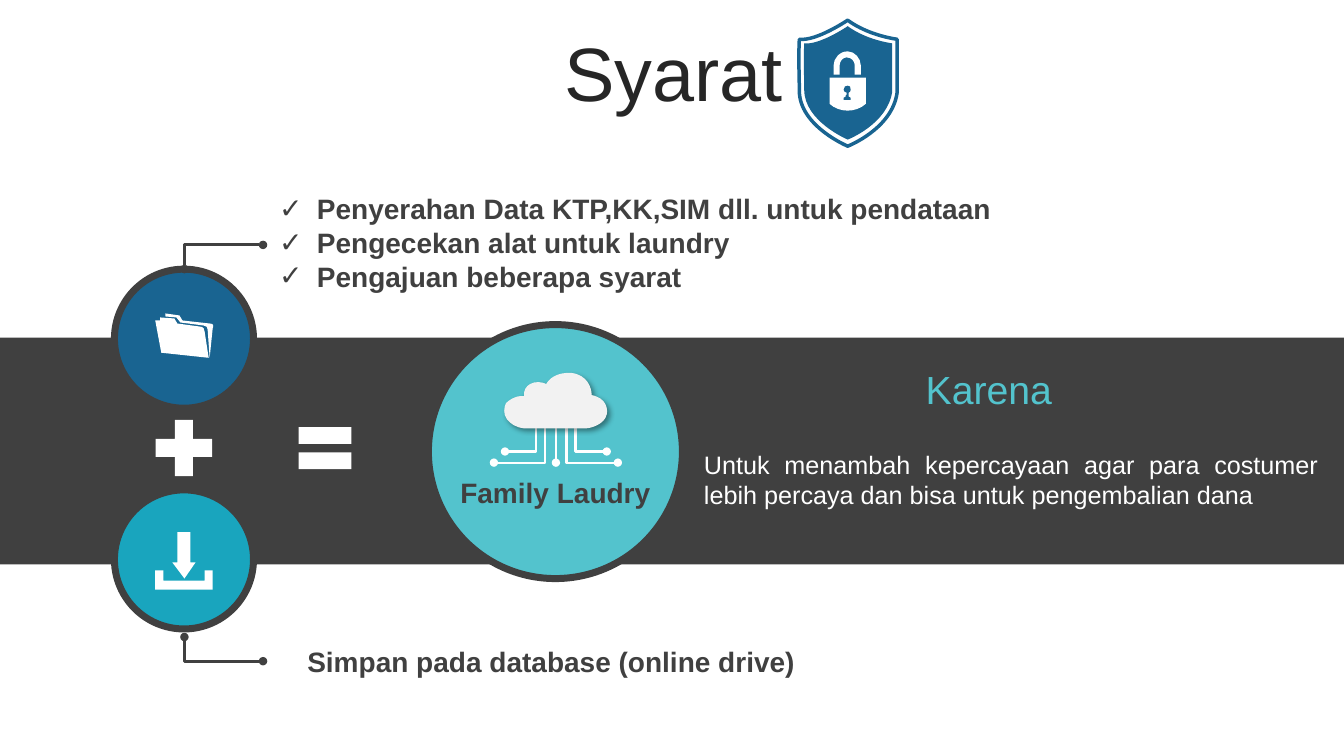
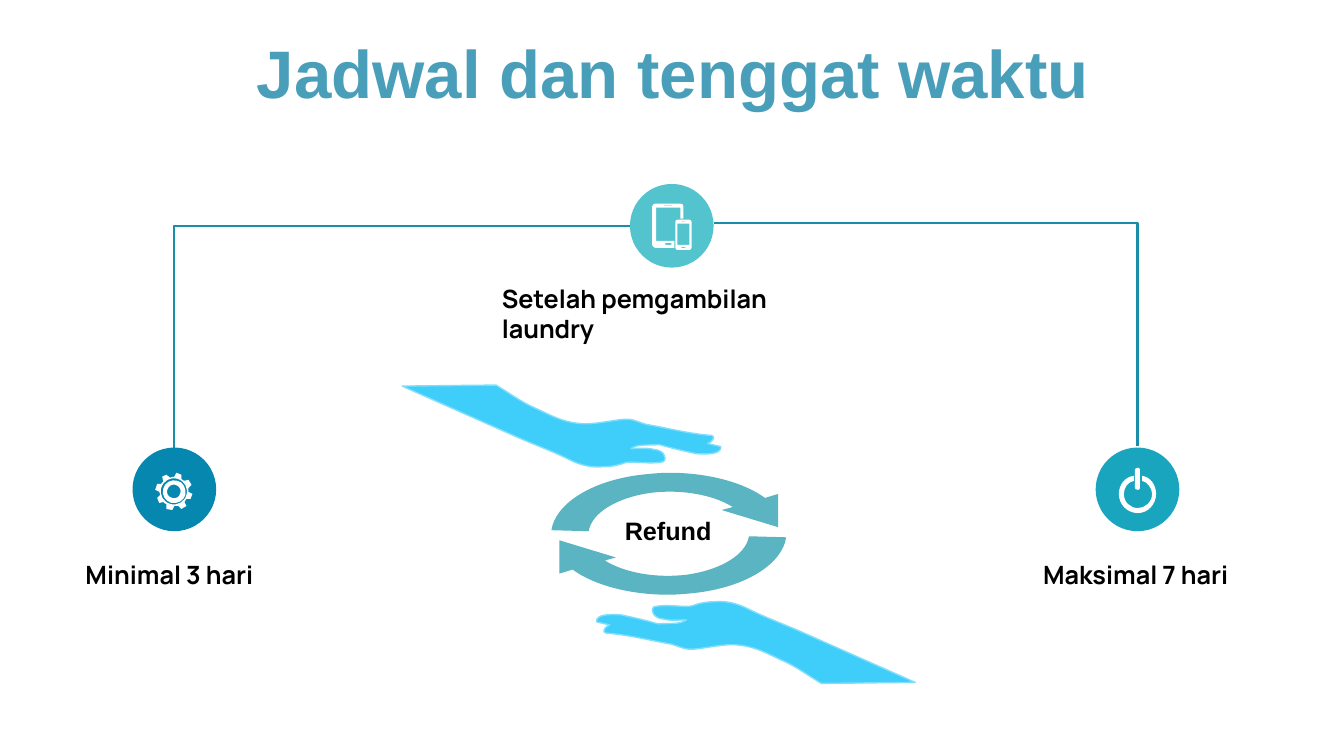
import pptx
import pptx.util
import pptx.dml.color
import pptx.enum.shapes
import pptx.enum.text
import pptx.oxml
import pptx.oxml.ns

RGB = pptx.dml.color.RGBColor
Pt = pptx.util.Pt
qn = pptx.oxml.ns.qn
SHAPE = pptx.enum.shapes.MSO_SHAPE
CONNECTOR = pptx.enum.shapes.MSO_CONNECTOR
ALIGN = pptx.enum.text.PP_ALIGN
ANCHOR = pptx.enum.text.MSO_ANCHOR

WHITE = RGB(0xFF, 0xFF, 0xFF)
BLACK = RGB(0x00, 0x00, 0x00)
INK = RGB(0x26, 0x26, 0x26)
CHARCOAL = RGB(0x40, 0x40, 0x40)
NAVY = RGB(0x19, 0x64, 0x91)
TEAL = RGB(0x19, 0xA5, 0xBE)
AQUA = RGB(0x53, 0xC3, 0xCD)
OCEAN = RGB(0x05, 0x87, 0xAF)
STEEL = RGB(0x49, 0x9E, 0xBA)
WIRE = RGB(0x1A, 0x8E, 0xA9)
CYCLE = RGB(0x5A, 0xB4, 0xC1)
SKY = RGB(0x3F, 0xCD, 0xFA)
SKY_EDGE = RGB(0x7F, 0xDE, 0xFB)
CLOUD_GREY = RGB(0xF2, 0xF2, 0xF2)

ROWS = 75
COLUMNS = 133.33
ICON_STEPS_PER_CELL = 10

FOLDER = """M5 4 L19 5 L22 10 L44 13 C48 13 49 16 49 18 L53 44 L6 39 L0 7 L5 7 Z
M10 0 L24 2 L27 7 L54 10 C58 10 58 12 57 15 L54 44 L52 16 C52 14 51 12 48 12
L25 9 L21 4 L10 3 Z"""
DOWNLOAD = """M0 38 L8 38 L8 48 L49 48 L49 38 L57 38 L57 57 L0 57 Z
M22 0 L35 0 L35 30 L40 30 L29 46 L17 30 L22 30 Z"""
CLOUD = """M67 0 C83 2 87 15 87 22 C102 25 103 36 102 41 C100 51 86 55 81 55 L20 55
C12 54 7 51 3 46 C-1 41 0 34 2 30 C4 28 11 22 20 23 C19 18 22 13 26 11
C31 8 38 9 42 11 C44 7 51 -1 67 0 Z"""
SHIELD = """M49 0 C49 0 18 21 1 19 C0 38 1 56 1 70 C1 105 49 125 49 125
C49 125 93 108 98 72 C98 54 98 36 98 19 C66 14 49 0 49 0 Z"""
LOCK_BODY = "M36 26 C26 35 10 35 0 26 L0 0 L36 0 Z"
SHACKLE = """M14 0 C6 0 0 7 0 14 L0 23 L6 23 L6 14 C6 10 9 6 13 6 C18 6 21 10 21 14
L21 23 L27 23 L27 14 C27 7 21 0 14 0 Z"""
KEYHOLE = """M7 4 C7 1 6 0 4 0 C2 0 0 1 0 4 C0 5 1 7 3 7 L3 9 C2 9 2 10 2 11 L0 12
L0 14 L7 14 L7 12 L5 11 C5 10 5 9 5 9 L5 7 C6 7 7 5 7 4 Z"""
POWER = """M15 8 L15 13 C9 14 5 20 5 26 C5 34 11 40 19 40 C26 40 33 34 33 26
C33 20 28 14 23 13 L23 8 C31 9 37 17 37 26 C37 36 29 45 19 45 C8 45 0 36 0 26
C0 17 6 9 15 8 Z
M19 0 C20 0 21 1 21 2 L21 20 C21 21 20 22 19 22 C17 22 16 21 16 20 L16 2
C16 1 17 0 19 0 Z"""
GEAR = """M20 12 C17 11 13 13 12 17 C11 21 13 24 17 25 C21 26 24 24 25 20
C26 17 24 13 20 12 Z
M22 8 C28 9 31 16 30 22 C28 28 22 31 16 30 C10 28 6 22 8 16 C9 10 16 6 22 8 Z
M22 6 C15 4 8 8 6 15 C4 22 8 29 15 31 C22 33 29 29 31 22 C33 15 29 8 22 6 Z
M26 2 L26 6 C27 7 28 8 29 8 L33 7 L36 12 L33 15 C33 16 33 18 33 19 L37 21 L35 26
L31 26 C30 27 30 28 29 29 L31 33 L26 36 L23 33 C22 33 20 33 19 33 L17 37 L11 36
L11 31 C10 31 9 30 8 29 L4 30 L2 25 L5 22 C4 21 4 20 4 19 L0 17 L2 11 L6 11
C7 10 7 9 8 9 L7 4 L11 2 L15 5 C16 4 17 4 19 4 L21 0 Z"""
DEVICES = """M29 43 L33 43 L33 44 L29 44 Z M13 39 L19 39 L19 41 L13 41 Z
M25 20 L37 20 L37 41 L25 41 Z M29 17.7 L33 17.7 L33 18.3 L29 18.3 Z
M25 16 L37 16 C38 16 39 17 39 18 L39 44 C39 45 38 46 37 46 L25 46
C24 46 23 45 23 44 L23 18 C23 17 24 16 25 16 Z
M12 1.7 L20 1.7 L20 2.3 L12 2.3 Z
M3 0 L28 0 C30 0 31 1 31 3 L31 15 L28 15 L28 4 L4 4 L4 37 L22 37 L22 44 L3 44
C2 44 0 42 0 41 L0 3 C0 1 2 0 3 0 Z"""
CYCLE_ARROW = """M117 0 C154 0 190 9 212 25 L225 21 L225 54 L169 37 L180 34
C161 22 129 16 98 20 C64 25 40 40 37 58 L0 57 C4 31 39 8 89 2 C98 1 108 0 117 0 Z"""
HAND = """M117 0 C127 -1 138 1 150 7 C166 15 180 20 201 29 L316 80 L223 81
C208 72 199 65 186 59 C172 53 160 45 141 43 C124 41 102 48 91 47
C87 47 78 43 74 42 C51 38 33 33 9 31 C5 30 8 25 13 23 L0 20 C-1 13 11 12 24 13
C38 16 47 18 61 22 C70 21 83 23 89 18 C81 18 72 19 66 17 C58 17 52 9 57 5
C69 2 88 6 95 4 C100 2 108 0 117 0 Z"""


def outline_steps(outline):
    for letter in "MLC":
        outline = outline.replace(letter, f"|{letter} ")
    for step in outline.replace("Z", "").split("|")[1:]:
        letter, *numbers = step.split()
        numbers = [float(n) for n in numbers]
        yield letter, list(zip(numbers[::2], numbers[1::2]))


class Deck:
    font = "Arial"

    def __init__(self):
        self.show = pptx.Presentation()
        self.show.slide_width = pptx.util.Emu(12192000)
        self.show.slide_height = pptx.util.Emu(6858000)
        self.cell = self.show.slide_height / ROWS

    def grid(self, *cells):
        return [pptx.util.Emu(round(c * self.cell)) for c in cells]

    def new_slide(self, title, size, color, bold=False):
        self.slide = self.show.slides.add_slide(self.show.slide_layouts[6])
        box = self.text(3.5, 3.7, 126.6, 7.9, [title], size, color, bold, ALIGN.CENTER)
        box.text_frame.vertical_anchor = ANCHOR.MIDDLE
        heading = box.text_frame.paragraphs[0]
        heading.line_spacing = 0.9
        heading.space_before = Pt(10)

    def paint(self, shape, fill, line, width):
        shape.shadow.inherit = False
        if fill is None:
            shape.fill.background()
        else:
            shape.fill.solid()
            shape.fill.fore_color.rgb = fill
        if line is None:
            shape.line.fill.background()
        else:
            shape.line.color.rgb = line
            shape.line.width = Pt(width)
        return shape

    def shape(self, kind, left, top, width, height, fill, line=None, weight=5):
        added = self.slide.shapes.add_shape(kind, *self.grid(left, top, width, height))
        return self.paint(added, fill, line, weight)

    def circle(self, left, top, size, fill, line=None):
        return self.shape(SHAPE.OVAL, left, top, size, size, fill, line)

    def icon(self, outline, left, top, fill=WHITE, line=None, weight=1, scale=1, turn=0):
        unit = scale / ICON_STEPS_PER_CELL
        contours, letters = [], []
        for letter, pairs in outline_steps(outline):
            if letter == "M":
                contours.append([])
            else:
                letters.append(letter)
            contours[-1] += [self.grid(left + x * unit, top + y * unit) for x, y in pairs]
        builder = self.slide.shapes.build_freeform(*contours[0][0], scale=1.0)
        for index, points in enumerate(contours):
            if index:
                builder.move_to(*points[0])
            builder.add_line_segments(points[1:], close=True)
        drawn = self.paint(builder.convert_to_shape(), fill, line, weight)
        self.bend(drawn, letters)
        drawn.rotation = turn
        return drawn

    def bend(self, shape, letters):
        segments = iter(list(shape._element.spPr.iter(qn("a:lnTo"))))
        for letter in letters:
            segment = next(segments)
            if letter == "C":
                curve = segment.makeelement(qn("a:cubicBezTo"), {})
                segment.addprevious(curve)
                for handle in (segment, next(segments), next(segments)):
                    curve.append(handle[0])
                    handle.getparent().remove(handle)

    def soft_shadow(self, shape):
        effects = shape._element.spPr.find(qn("a:effectLst"))
        effects.append(pptx.oxml.parse_xml(
            f'<a:outerShdw {pptx.oxml.ns.nsdecls("a")} blurRad="{Pt(4)}" dist="{Pt(3)}" '
            'dir="2700000"><a:srgbClr val="000000"><a:alpha val="40000"/></a:srgbClr>'
            '</a:outerShdw>'))

    def line(self, start, end, color, weight, bent=True, ends=()):
        kind = CONNECTOR.ELBOW if bent else CONNECTOR.STRAIGHT
        wire = self.slide.shapes.add_connector(kind, *self.grid(*start, *end))
        wire.line.color.rgb = color
        wire.line.width = Pt(weight)
        properties = wire._element.spPr
        if bent:
            properties.find(qn("a:prstGeom")).set("prst", "bentConnector2")
        stroke = properties.find(qn("a:ln"))
        for tag in ends:
            stroke.append(stroke.makeelement(qn(f"a:{tag}"), {"type": "oval"}))
        properties.append(pptx.oxml.parse_xml(
            f'<a:effectLst {pptx.oxml.ns.nsdecls("a")}/>'))

    def text(self, left, top, width, height, lines, size, color, bold=False,
             align=ALIGN.LEFT, font=None, bullet=None):
        box = self.slide.shapes.add_textbox(*self.grid(left, top, width, height))
        frame = box.text_frame
        frame.word_wrap = True
        frame.text = "\n".join(lines)
        for paragraph in frame.paragraphs:
            paragraph.alignment = align
            for run in paragraph.runs:
                run.font.name = font or self.font
                run.font.size = Pt(size)
                run.font.bold = bold
                run.font.color.rgb = color
            if bullet:
                self.bullet(paragraph, bullet)
        return box

    def bullet(self, paragraph, mark):
        properties = paragraph._p.get_or_add_pPr()
        properties.set("marL", "342900")
        properties.set("indent", "-342900")
        for tag, key, value in (("buFont", "typeface", self.font), ("buChar", "char", mark)):
            properties.append(properties.makeelement(qn(f"a:{tag}"), {key: value}))


def requirements(deck):
    deck.new_slide("Syarat", 54, INK)
    deck.shape(SHAPE.RECTANGLE, 0, 33.5, COLUMNS, 22.5, CHARCOAL)
    for top, fill in ((26.7, NAVY), (48.6, TEAL)):
        deck.circle(11.35, top, 13.8, fill, CHARCOAL)
    deck.shape(SHAPE.MATH_PLUS, 14.45, 40.65, 7.6, 7.6, WHITE)
    deck.shape(SHAPE.MATH_EQUAL, 28.7, 40.9, 7.1, 7.1, WHITE)
    deck.circle(42.5, 32.2, 25.2, AQUA, CHARCOAL)
    deck.text(68.85, 44.05, 62.9, 7.1,
              ["Untuk menambah kepercayaan agar para costumer lebih percaya "
               "dan bisa untuk pengembalian dana"], 18, WHITE, align=ALIGN.JUSTIFY)
    deck.text(42.5, 46.7, 25.2, 4.4, ["Family Laudry"], 20, CHARCOAL, True, ALIGN.CENTER)
    deck.text(73.1, 35.8, 50, 5.7, ["Karena"], 28, AQUA, align=ALIGN.CENTER)
    deck.text(29.5, 63.45, 52.8, 4.4, ["Simpan pada database (online drive)"], 20,
              CHARCOAL, True)
    for label_row, circle_row in ((24.3, 26.7), (65.6, 63.2)):
        deck.line((26.1, label_row), (18.3, circle_row), CHARCOAL, 2,
                  ends=("headEnd", "tailEnd"))

    axis = 55.15
    for side in (-1, 1):
        for reach, dot_row, inset, cloud_row in ((5.05, 44.8, 1.95, 42.2),
                                                 (6.15, 45.9, 1.05, 41.8)):
            deck.line((axis + side * reach, dot_row), (axis + side * inset, cloud_row),
                      WHITE, 1.5, ends=("headEnd",))
    deck.line((axis, 41.1), (axis, 45.9), WHITE, 1.5, bent=False, ends=("tailEnd",))
    deck.soft_shadow(deck.icon(CLOUD, 50, 37, CLOUD_GREY))

    deck.icon(FOLDER, 15.4, 31.1)
    deck.icon(DOWNLOAD, 15.4, 52.8)
    deck.icon(SHIELD, 79.2, 2, None, NAVY, 2.5)
    deck.icon(SHIELD, 79.7, 2.6, NAVY, scale=0.9)
    deck.icon(LOCK_BODY, 82.3, 7.7)
    deck.icon(SHACKLE, 82.7, 5.1)
    deck.icon(KEYHOLE, 83.7, 8.5, NAVY)
    deck.text(26.7, 18.55, 79.9, 11.1,
              ["Penyerahan Data KTP,KK,SIM dll. untuk pendataan",
               "Pengecekan alat untuk laundry",
               "Pengajuan beberapa syarat"], 20, CHARCOAL, True, bullet="✓")


def schedule(deck):
    deck.new_slide("Jadwal dan tenggat waktu", 48, STEEL, True)
    deck.line((70.8, 22.15), (112.85, 44.2), WIRE, 1.75)
    deck.line((62.5, 22.4), (17.25, 44.4), WIRE, 1.75)
    for left, top, fill, outline, icon_left, icon_top in (
            (13.15, 44.4, OCEAN, GEAR, 15.4, 46.9),
            (62.5, 18.25, AQUA, DEVICES, 64.7, 20.2),
            (108.7, 44.4, TEAL, POWER, 111, 46.4)):
        deck.circle(left, top, 8.3, fill)
        deck.icon(outline, icon_left, icon_top)
    for left, top, width, label in ((7.5, 55, 19.6, "Minimal 3 hari"),
                                    (102.5, 55, 21, "Maksimal 7 hari"),
                                    (48.8, 27.6, 37, "Setelah pemgambilan laundry")):
        deck.text(left, top, width, 4, [label], 18, BLACK, True, font="Manrope")
    for left, top, turn in ((54.7, 46.9, 0), (55.5, 53.2, 180)):
        deck.icon(CYCLE_ARROW, left, top, CYCLE, turn=turn)
    deck.text(61, 50.65, 11, 4, ["Refund"], 18, BLACK, True)
    for left, top, turn in ((59.2, 59.7, 0), (40, 38.3, 180)):
        deck.icon(HAND, left, top, SKY, SKY_EDGE, turn=turn)


def main():
    deck = Deck()
    requirements(deck)
    schedule(deck)
    deck.show.save("out.pptx")


if __name__ == "__main__":
    main()
